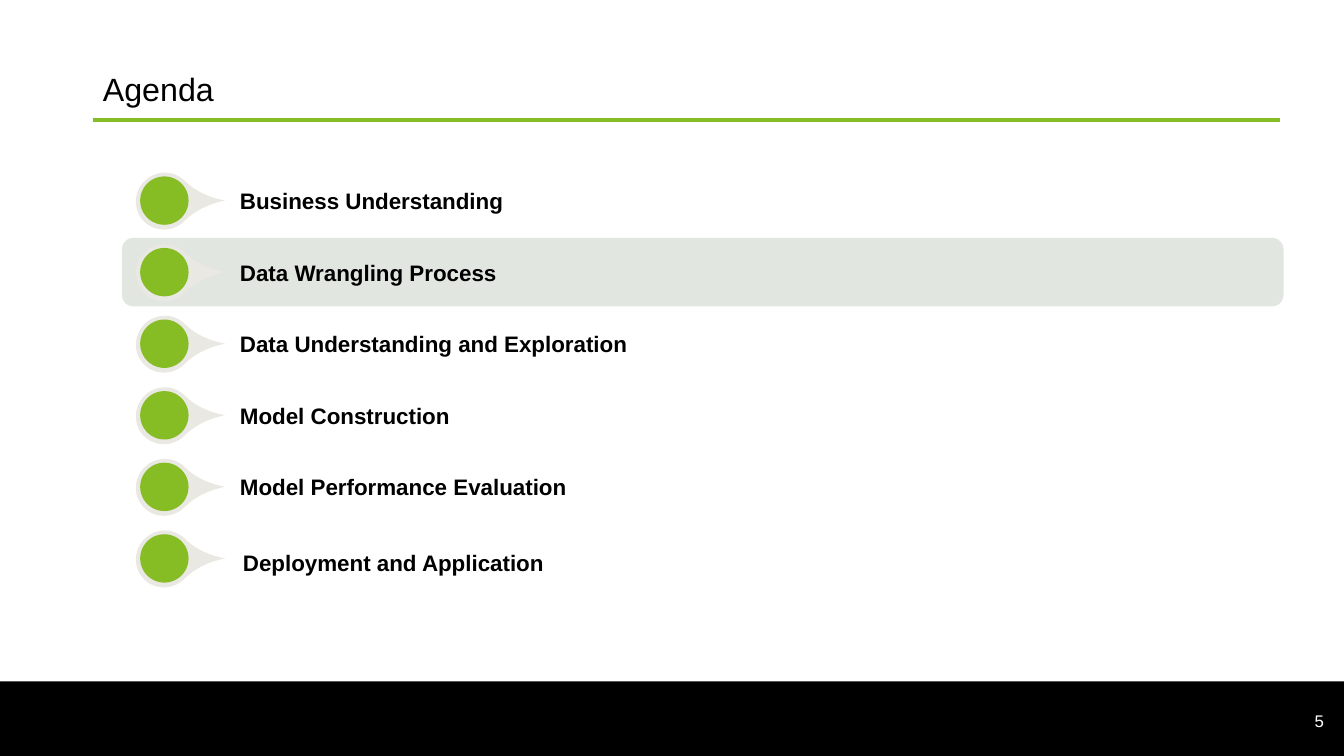
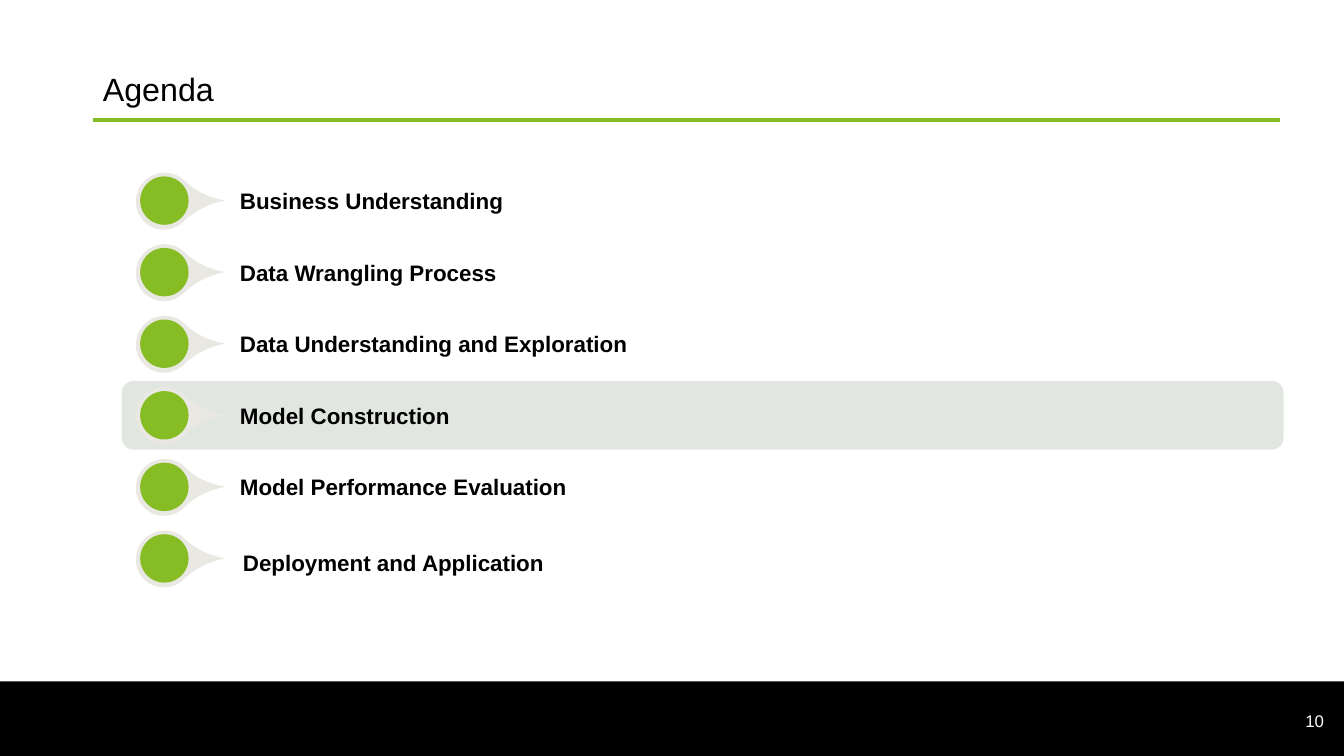
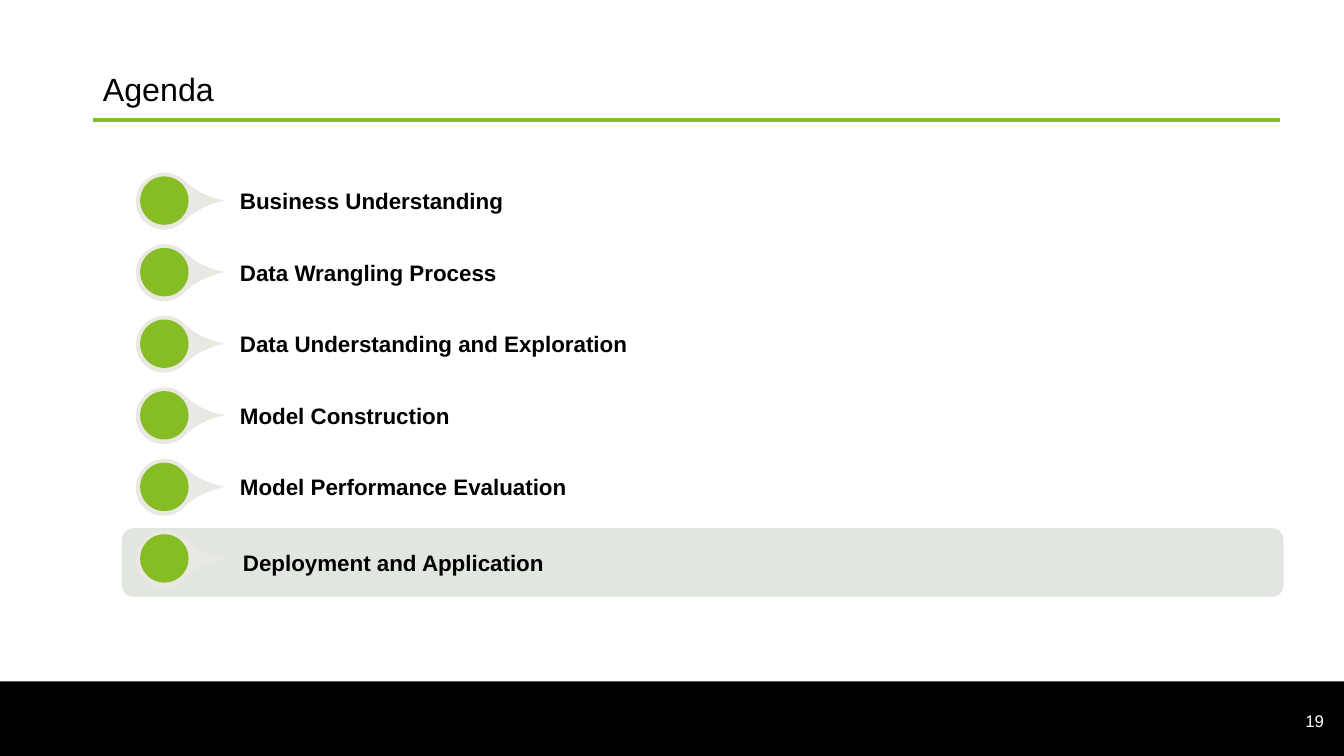
import pptx
import pptx.dml.color
import pptx.enum.shapes
import pptx.enum.text
import pptx.oxml
import pptx.util
from pptx.util import Inches

COLORS = {
    "ink": "000000",
    "paper": "FFFFFF",
    "green": "86BC24",
    "drop": "EAE8E2",
    "highlight": "E2E6E0",
}
FONT = "Arial"
SLIDE_WIDTH, SLIDE_HEIGHT = 13.33, 7.5
FOOTER_TOP = 6.76

TOPICS = [
    "Business Understanding",
    "Data Wrangling Process",
    "Data Understanding and Exploration",
    "Model Construction",
    "Model Performance Evaluation",
    "Deployment and Application",
]
# Slide number and index of the highlighted topic
AGENDA_PAGES = [(5, 1), (10, 3), (19, 5)]
AGENDA_LEFT, AGENDA_TOP = 1.21, 1.69
ROW_PITCH = 0.71
LAST_LABEL_SHIFT = (0.03, 0.04)

SHAPE = pptx.enum.shapes.MSO_SHAPE
ALIGN = pptx.enum.text.PP_ALIGN


def rgb(name):
    return pptx.dml.color.RGBColor.from_string(COLORS[name])


def inches(*lengths):
    return [Inches(length) for length in lengths]


def add_filled(shapes, preset, box, color):
    shape = shapes.add_shape(preset, *inches(*box))
    shape.shadow.inherit = False
    shape.fill.solid()
    shape.fill.fore_color.rgb = rgb(color)
    shape.line.fill.background()
    return shape


def write_text(shape, text, size, color="ink", bold=False, align=ALIGN.LEFT,
               insets=(0.1, 0.05, 0.1, 0.05)):
    """Fill a shape with one vertically centred paragraph and return it."""
    frame = shape.text_frame
    frame.text = text
    frame.word_wrap = True
    frame.auto_size = pptx.enum.text.MSO_AUTO_SIZE.NONE
    frame.vertical_anchor = pptx.enum.text.MSO_ANCHOR.MIDDLE
    (frame.margin_left, frame.margin_top,
     frame.margin_right, frame.margin_bottom) = inches(*insets)
    para = frame.paragraphs[0]
    para.alignment = align
    para.font.name = FONT
    para.font.size = pptx.util.Pt(size)
    para.font.bold = bold
    para.font.color.rgb = rgb(color)
    return para


def move_frame_to_layout(page):
    """Draw the footer band and title rule, and hand them to the page's layout."""
    band = add_filled(page.shapes, SHAPE.RECTANGLE,
                      (0, FOOTER_TOP, SLIDE_WIDTH, SLIDE_HEIGHT - FOOTER_TOP), "ink")
    rule = page.shapes.add_connector(
        pptx.enum.shapes.MSO_CONNECTOR.STRAIGHT, *inches(0.92, 1.19, 12.7, 1.19))
    rule.line.color.rgb = rgb("green")
    rule.line.width = pptx.util.Pt(3)
    properties = rule.element.spPr
    properties.append(properties.makeelement(pptx.oxml.ns.qn("a:effectLst"), {}))
    for shape in (band, rule):
        page.slide_layout.shapes.element.append(shape.element)


def add_title(page, text):
    title = page.shapes.title
    title.left, title.top, title.width, title.height = inches(0.92, 0.48, 11.5, 0.84)
    write_text(title, text, 23).line_spacing = 0.9


def add_page_number(page, number):
    box = page.shapes.add_textbox(*inches(10.23, 6.95, 3, 0.4))
    write_text(box, str(number), 12, "paper", align=ALIGN.RIGHT)


def add_marker(page, left, top):
    """Green disc on a drop that points right."""
    group = page.shapes.add_group_shape()
    drop = add_filled(group.shapes, SHAPE.TEAR, (left, top, 0.56, 0.57), "drop")
    drop.adjustments[0] = 1.51
    drop.rotation = 45
    add_filled(group.shapes, SHAPE.OVAL, (left + 0.04, top + 0.04, 0.48, 0.48), "green")


def add_agenda(page, left, top, current):
    for index, topic in enumerate(TOPICS):
        row_top = top + index * ROW_PITCH
        is_last = index == len(TOPICS) - 1
        shift_x, shift_y = LAST_LABEL_SHIFT if is_last else (0, 0)
        label_top = row_top + shift_y
        if index == current:
            add_filled(page.shapes, SHAPE.ROUNDED_RECTANGLE,
                       (left, label_top - 0.04, 11.52, 0.68), "highlight")
        add_marker(page, left + 0.14, row_top + 0.02)
        label = page.shapes.add_textbox(
            *inches(left + 1.09 + shift_x, label_top, 9.61, 0.64))
        write_text(label, topic, 16, bold=True, insets=(0.08, 0.04, 0.08, 0.08))


def add_agenda_page(deck, layout, number, current):
    page = deck.slides.add_slide(layout)
    add_title(page, "Agenda")
    add_page_number(page, number)
    add_agenda(page, AGENDA_LEFT, AGENDA_TOP, current)
    return page


def main():
    deck = pptx.Presentation()
    deck.slide_width, deck.slide_height = inches(SLIDE_WIDTH, SLIDE_HEIGHT)
    layout = deck.slide_layouts.get_by_name("Title Only")
    pages = [add_agenda_page(deck, layout, number, current)
             for number, current in AGENDA_PAGES]
    move_frame_to_layout(pages[0])
    deck.save("out.pptx")


if __name__ == "__main__":
    main()
